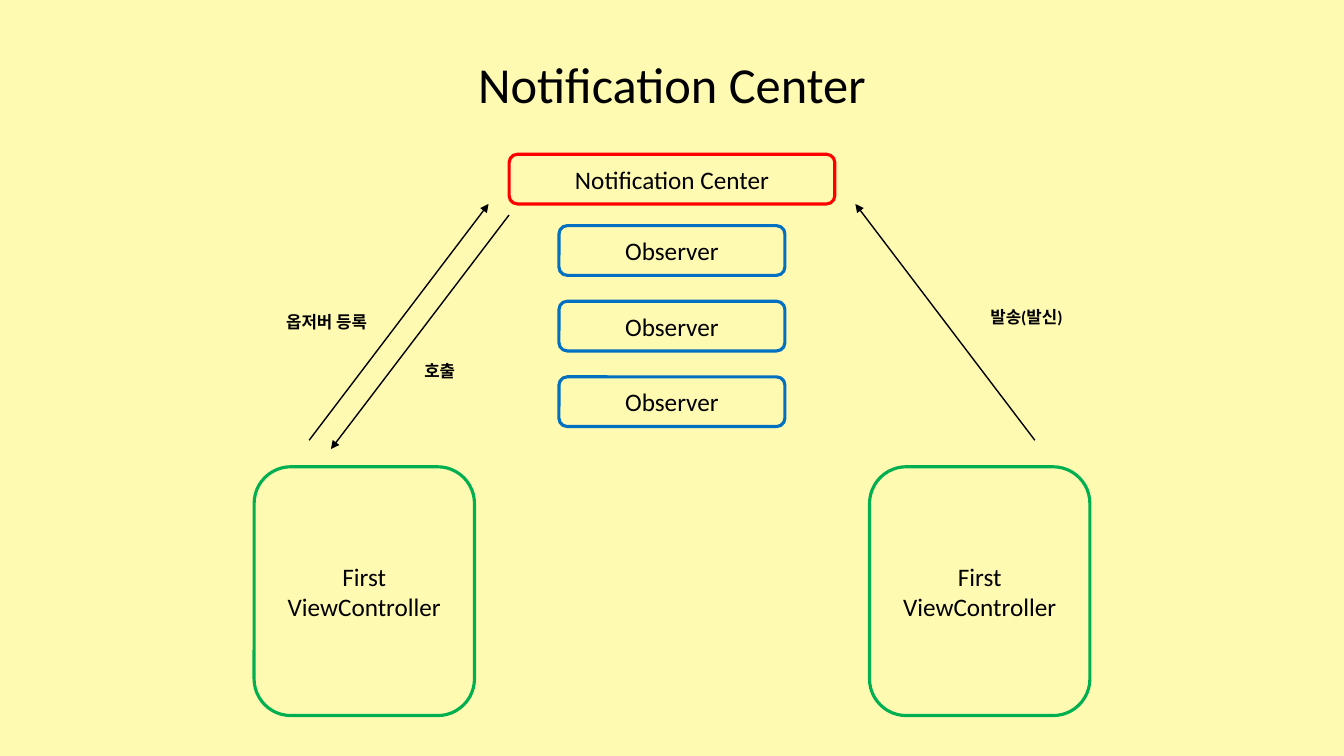
from dataclasses import dataclass

from lxml.etree import SubElement
from pptx import Presentation
from pptx.dml.color import RGBColor
from pptx.enum.shapes import MSO_CONNECTOR, MSO_SHAPE
from pptx.enum.text import MSO_ANCHOR, MSO_AUTO_SIZE, PP_ALIGN
from pptx.oxml.ns import qn
from pptx.slide import Slide
from pptx.text.text import TextFrame
from pptx.util import Pt

COLORS = {
    "background": "FFFAB2",
    "text": "000000",
    "center": "FF0000",
    "observer": "0070C0",
    "controller": "00B050",
}
FONT = "Calibri"
PAGE_WIDTH, PAGE_HEIGHT = 960, 540


@dataclass
class Node:
    text: str
    color: str
    left: float
    top: float
    width: float
    height: float


@dataclass
class Arrow:
    start: tuple[float, float]
    end: tuple[float, float]


@dataclass
class Label:
    text: str
    left: float
    top: float
    width: float


def color(name: str) -> RGBColor:
    return RGBColor.from_string(COLORS[name])


def write_text(frame: TextFrame, text: str, *, size: float, bold: bool = False,
               align: PP_ALIGN = PP_ALIGN.CENTER,
               anchor: MSO_ANCHOR = MSO_ANCHOR.MIDDLE,
               line_spacing: float = 1.0) -> None:
    frame.word_wrap = True
    frame.auto_size = MSO_AUTO_SIZE.NONE
    frame.vertical_anchor = anchor
    para = frame.paragraphs[0]
    para.text = text
    para.alignment = align
    para.line_spacing = line_spacing
    for span in para.runs:
        span.font.name = FONT
        span.font.size = Pt(size)
        span.font.bold = bold
        span.font.color.rgb = color("text")


def draw_node(page: Slide, node: Node) -> None:
    box = page.shapes.add_shape(MSO_SHAPE.ROUNDED_RECTANGLE, Pt(node.left), Pt(node.top),
                                Pt(node.width), Pt(node.height))
    box.shadow.inherit = False
    box.fill.background()
    box.line.color.rgb = color(node.color)
    box.line.width = Pt(2.25)
    write_text(box.text_frame, node.text, size=18)


def draw_arrow(page: Slide, arrow: Arrow) -> None:
    line = page.shapes.add_connector(MSO_CONNECTOR.STRAIGHT, *map(Pt, arrow.start + arrow.end))
    line.line.color.rgb = color("text")
    line.line.width = Pt(1)
    SubElement(line.line._get_or_add_ln(), qn("a:tailEnd"), type="triangle")
    SubElement(line._element.spPr, qn("a:effectLst"))


def draw_label(page: Slide, label: Label) -> None:
    box = page.shapes.add_textbox(Pt(label.left), Pt(label.top), Pt(label.width), Pt(21.8))
    write_text(box.text_frame, label.text, size=12, bold=True,
               align=PP_ALIGN.LEFT, anchor=MSO_ANCHOR.TOP)


def centered(width: float) -> float:
    return (PAGE_WIDTH - width) / 2


# Page and title
deck = Presentation()
deck.slide_width, deck.slide_height = Pt(PAGE_WIDTH), Pt(PAGE_HEIGHT)
page = deck.slides.add_slide(deck.slide_layouts[5])
page.background.fill.solid()
page.background.fill.fore_color.rgb = color("background")

title = page.shapes.title
title.left, title.top, title.width, title.height = map(Pt, (centered(335), 39, 335, 51))
write_text(title.text_frame, "Notification Center", size=36,
           anchor=MSO_ANCHOR.TOP, line_spacing=0.9)

# Notification center, its observers and the view controllers
CENTER_WIDTH, OBSERVER_WIDTH, CONTROLLER_WIDTH = 232.6, 161.4, 157.4
BAR_HEIGHT = 35.5
CONTROLLER_LEFT = 181.5

nodes = [Node("Notification Center", "center", centered(CENTER_WIDTH), 110.2,
              CENTER_WIDTH, BAR_HEIGHT)]
nodes += [Node("Observer", "observer", centered(OBSERVER_WIDTH), 161.2 + 54 * row,
               OBSERVER_WIDTH, BAR_HEIGHT) for row in range(3)]
nodes += [Node("First\vViewController", "controller", left, 333.4, CONTROLLER_WIDTH, 177.7)
          for left in (CONTROLLER_LEFT, PAGE_WIDTH - CONTROLLER_LEFT - CONTROLLER_WIDTH)]
for node in nodes:
    draw_node(page, node)

# Arrows: register, call back, post
REGISTER_START, REGISTER_END = (220.8, 314.5), (349, 145.7)
arrows = [
    Arrow(REGISTER_START, REGISTER_END),
    Arrow((363.6, 153.6), (236.4, 320.8)),
    Arrow((PAGE_WIDTH - REGISTER_START[0], REGISTER_START[1]),
          (PAGE_WIDTH - REGISTER_END[0], REGISTER_END[1])),
]
for arrow in arrows:
    draw_arrow(page, arrow)

# Arrow labels
labels = [
    Label("옵저버 등록", 197.3, 218.9, 77.8),
    Label("호출", 296, 254.4, 38.9),
    Label("발송(발신)", 700.3, 215.3, 70.6),
]
for label in labels:
    draw_label(page, label)

deck.save("out.pptx")
